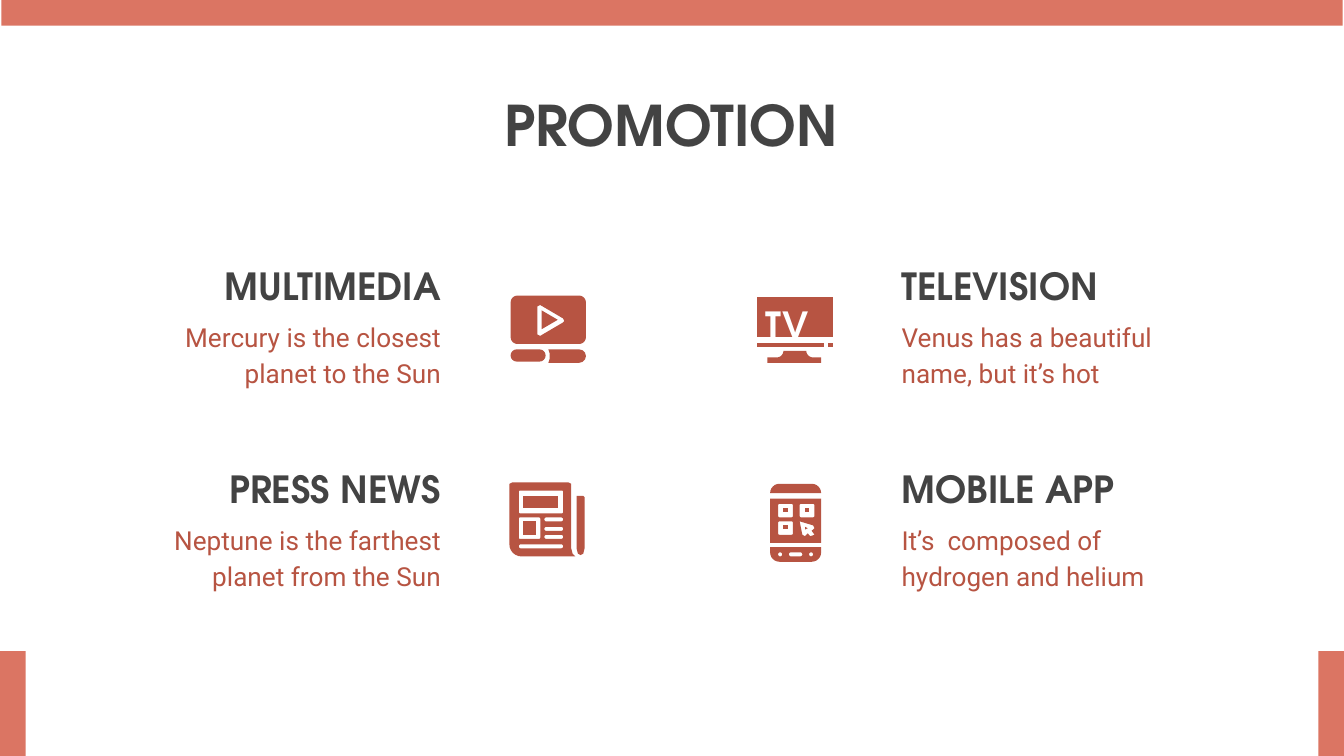
from dataclasses import dataclass
from math import cos, radians, sin

from pptx import Presentation
from pptx.dml.color import RGBColor as Rgb
from pptx.enum.shapes import MSO_SHAPE as Shape
from pptx.enum.text import MSO_ANCHOR as Anchor, PP_ALIGN as Align
from pptx.util import Inches, Pt


@dataclass(frozen=True)
class Theme:
    frame: Rgb = Rgb.from_string("DB7563")
    accent: Rgb = Rgb.from_string("B75442")
    dark: Rgb = Rgb.from_string("434343")
    white: Rgb = Rgb.from_string("FFFFFF")
    head: str = "TeX Gyre Adventor"
    body: str = "Roboto"
    title: int = 30
    label: int = 20
    text: int = 14


THEME = Theme()


def paint(shape, color):
    shape.shadow.inherit = False
    shape.fill.solid()
    shape.fill.fore_color.rgb = color
    shape.line.fill.background()


def write(slide, box, text, size, color, align=Align.LEFT, anchor=Anchor.BOTTOM,
          font=THEME.head, bold=True, space=1.0):
    frame = slide.shapes.add_textbox(*map(Inches, box)).text_frame
    frame.word_wrap = True
    frame.vertical_anchor = anchor
    frame.margin_left = frame.margin_right = Inches(0.1)
    frame.margin_top = frame.margin_bottom = Inches(0.1)
    frame.text = text
    for para in frame.paragraphs:
        para.alignment = align
        para.line_spacing = space
        for run in para.runs:
            run.font.name = font
            run.font.size = Pt(size)
            run.font.bold = bold
            run.font.color.rgb = color


def arc(x, y, radius, start, end, steps=6):
    turns = [radians(start + (end - start) * i / steps) for i in range(steps + 1)]
    return [(x + radius * cos(t), y + radius * sin(t)) for t in turns]


def block(x, y, w, h, radius=0):
    right, low = x + w, y + h
    if not radius:
        return [(x, y), (right, y), (right, low), (x, low)]
    r = min(radius, w / 2, h / 2)
    return (arc(x + r, y + r, r, 180, 270) + arc(right - r, y + r, r, 270, 360)
            + arc(right - r, low - r, r, 0, 90) + arc(x + r, low - r, r, 90, 180))


def draw_icon(slide, x, y, pieces):
    group = slide.shapes.add_group_shape()
    for rings in pieces:
        pen = None
        for ring in rings:
            first, *rest = [(Inches(x + a), Inches(y + b)) for a, b in ring]
            if pen is None:
                pen = group.shapes.build_freeform(*first)
            else:
                pen.move_to(*first)
            pen.add_line_segments(rest, close=True)
        paint(pen.convert_to_shape(), THEME.accent)


def add_media(slide, x, y):
    draw_icon(slide, x, y, [
        [block(0.01, 0, 0.56, 0.36, 0.05),
         [(0.21, 0.08), (0.23, 0.07), (0.4, 0.17), (0.41, 0.19), (0.4, 0.2),
          (0.23, 0.3), (0.21, 0.29)]],
        [[(0.24, 0.11), (0.36, 0.18), (0.24, 0.25)]],
        [block(0.01, 0.4, 0.26, 0.09, 0.05)],
        [arc(0.52, 0.45, 0.05, -90, 90)
         + [(0.29, 0.5), (0.3, 0.47), (0.3, 0.43), (0.29, 0.4)]],
    ])


def add_tv(slide, x, y):
    stand = (arc(0.15, 0.4, 0.05, 0, 90)
             + [(0.08, 0.45), (0.08, 0.49), (0.48, 0.49), (0.48, 0.45)]
             + arc(0.42, 0.4, 0.05, 90, 180))
    draw_icon(slide, x, y, [
        [stand],
        [block(0.53, 0.34, 0.04, 0.03)],
        [block(0, 0, 0.57, 0.3)],
        [block(0, 0.34, 0.5, 0.03)],
    ])
    write(slide, (x - 0.03, y + 0.02, 0.65, 0.45), "TV", THEME.label, THEME.white)


def add_press(slide, x, y):
    page = ([(0, 0.01), (0.02, 0), (0.44, 0), (0.46, 0.01), (0.46, 0.49),
             (0.47, 0.53), (0.49, 0.55)] + arc(0.09, 0.46, 0.09, 90, 180))
    lines = [block(0.26, top, 0.14, 0.03, 0.02) for top in (0.26, 0.33, 0.39)]
    draw_icon(slide, x, y, [
        [[(0.5, 0.1), (0.55, 0.1), (0.56, 0.11), (0.56, 0.49), (0.55, 0.53),
          (0.53, 0.54), (0.51, 0.53), (0.5, 0.49)]],
        [block(0.1, 0.29, 0.1, 0.1)],
        [block(0.1, 0.1, 0.26, 0.09)],
        [page, block(0.07, 0.06, 0.33, 0.17, 0.01),
         block(0.07, 0.26, 0.16, 0.16, 0.01),
         block(0.07, 0.46, 0.33, 0.03, 0.02), *lines],
    ])


def add_phone(slide, x, y):
    codes = [(0.06, 0.15), (0.22, 0.15), (0.06, 0.28)]
    arrow = [(0.22, 0.28), (0.32, 0.31), (0.33, 0.33), (0.31, 0.35), (0.33, 0.38),
             (0.3, 0.39), (0.28, 0.37), (0.26, 0.39), (0.24, 0.38)]
    base = ([(0, 0.47), (0.38, 0.47)] + arc(0.31, 0.51, 0.07, 0, 90)
            + arc(0.07, 0.51, 0.07, 90, 180))
    keys = [block(left, 0.51, wide, 0.03, 0.02)
            for left, wide in ((0.06, 0.03), (0.14, 0.1), (0.29, 0.03))]
    draw_icon(slide, x, y, [
        [arc(0.07, 0.07, 0.07, 180, 270) + arc(0.31, 0.07, 0.07, 270, 360)],
        [base, *keys],
        *[[block(a + 0.04, b + 0.03, 0.03, 0.03)] for a, b in codes],
        [block(0, 0.11, 0.38, 0.33), arrow,
         *[block(a, b, 0.11, 0.1, 0.01) for a, b in codes]],
        [[(0.26, 0.32), (0.28, 0.33), (0.26, 0.34)]],
    ])


def add_frame(slide, width, height):
    edge, tall = 0.19, 0.78
    for box in ((0.01, 0, width - 0.02, edge),
                (0, height - tall, edge, tall),
                (width - edge, height - tall, edge, tall)):
        paint(slide.shapes.add_shape(Shape.RECTANGLE, *map(Inches, box)), THEME.frame)


def add_item(slide, x, y, label, text, align):
    write(slide, (x, y, 2.48, 0.45), label, THEME.label, THEME.dark, align)
    write(slide, (x, y + 0.32, 2.48, 0.67), text, THEME.text, THEME.accent, align,
          Anchor.TOP, THEME.body, False, 1.15)


def main():
    deck = Presentation()
    width = 10
    height = width * 9 / 16
    deck.slide_width, deck.slide_height = Inches(width), Inches(height)
    slide = deck.slides.add_slide(deck.slide_layouts[6])
    add_frame(slide, width, height)
    write(slide, (3.16, 0.53, 3.67, 0.78), "PROMOTION", THEME.title, THEME.dark,
          Align.CENTER, Anchor.MIDDLE)
    columns = ((0.9, Align.RIGHT), (6.61, Align.LEFT))
    rows = (
        (1.94, (("MULTIMEDIA", "Mercury is the closest planet to the Sun"),
                ("TELEVISION", "Venus has a beautiful name, but it’s hot"))),
        (3.45, (("PRESS NEWS", "Neptune is the farthest planet from the Sun"),
                ("MOBILE APP", "It’s  composed of\nhydrogen and helium"))),
    )
    for y, items in rows:
        for (x, align), (label, text) in zip(columns, items):
            add_item(slide, x, y, label, text, align)
    add_media(slide, 3.79, 2.2)
    add_tv(slide, 5.63, 2.21)
    add_press(slide, 3.79, 3.59)
    add_phone(slide, 5.73, 3.6)
    deck.save("out.pptx")


if __name__ == "__main__":
    main()
